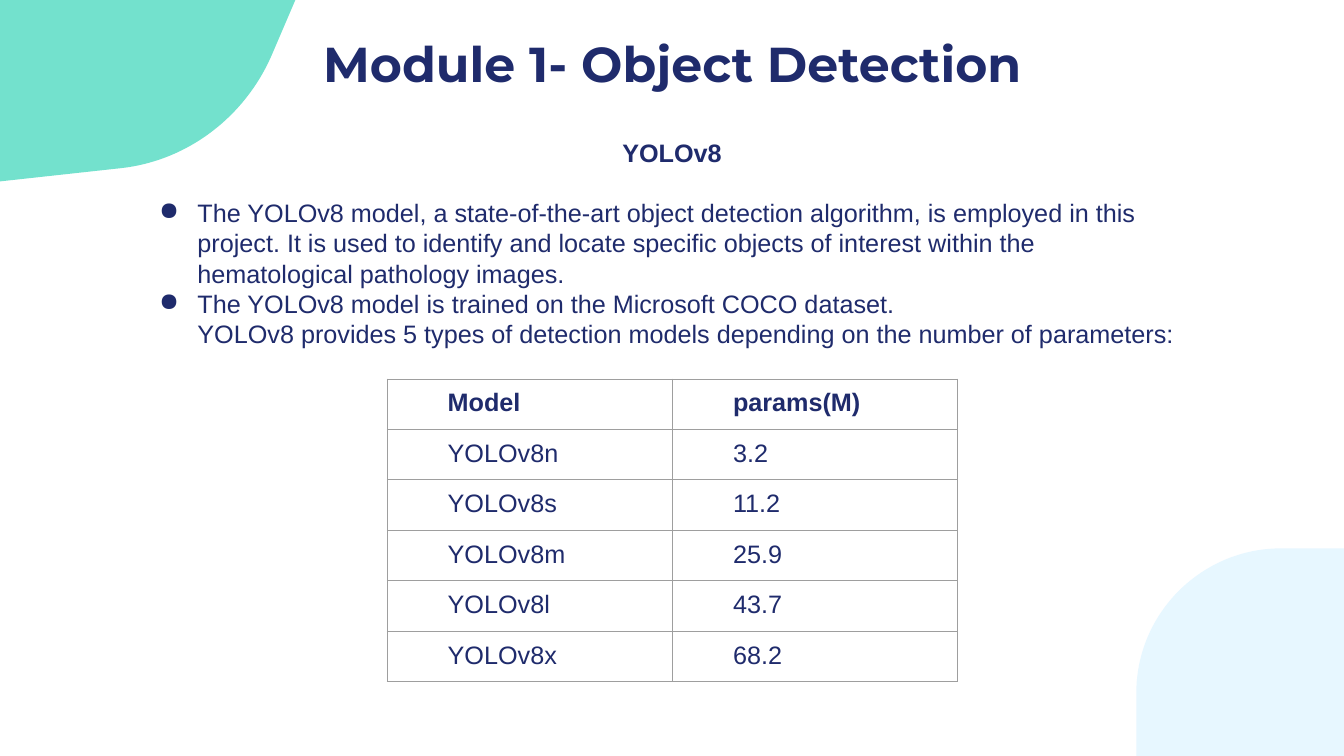
import pptx
import pptx.util
import pptx.dml.color
import pptx.enum.text
import pptx.oxml.ns
from lxml import etree

Inches = pptx.util.Inches
Pt = pptx.util.Pt
qn = pptx.oxml.ns.qn
ALIGN = pptx.enum.text.PP_ALIGN
COLORS = {"navy": "1F2B6C", "mint": "73E1CD", "ice": "E7F7FF", "grid": "9E9E9E"}
BULLETS = [
    "The YOLOv8 model, a state-of-the-art object detection algorithm, is employed "
    "in this project. It is used to identify and locate specific objects of "
    "interest within the hematological pathology images.",
    "The YOLOv8 model is trained on the Microsoft COCO dataset.",
]
CLOSING = ("YOLOv8 provides 5 types of detection models depending on "
           "the number of parameters:")
MODELS = [("Model", "params(M)"), ("YOLOv8n", "3.2"), ("YOLOv8s", "11.2"),
          ("YOLOv8m", "25.9"), ("YOLOv8l", "43.7"), ("YOLOv8x", "68.2")]


def rgb(name):
    """Return the named colour."""
    return pptx.dml.color.RGBColor.from_string(COLORS[name])


def bezier(p0, p1, p2, p3, steps=40):
    """Return points along a cubic curve, without its start."""
    points = []
    for i in range(1, steps + 1):
        t = i / steps
        u = 1 - t
        points.append(tuple(u**3 * a + 3 * u * u * t * b + 3 * u * t * t * c + t**3 * d
                            for a, b, c, d in zip(p0, p1, p2, p3)))
    return points


class Deck:
    """Hold the style and the current slide."""

    def __init__(self, prs):
        """Add a title-only slide."""
        self.s = prs.slides.add_slide(prs.slide_layouts[5])
        self.font, self.title_font, self.size = "Arial", "Montserrat", 18

    def run(self, p, text, bold=False, font=None, size=None):
        """Add a navy run to a paragraph."""
        r = p.add_run()
        r.text = text
        r.font.name = font or self.font
        r.font.size = Pt(size or self.size)
        r.font.bold = bold
        r.font.color.rgb = rgb("navy")

    def indent(self, p, left, first=0, bullet=None):
        """Set the indents and the bullet of a paragraph."""
        pPr = p._p.get_or_add_pPr()
        pPr.set("marL", str(Inches(left)))
        pPr.set("indent", str(Inches(first)))
        if bullet:
            color = etree.SubElement(pPr, qn("a:buClr"))
            etree.SubElement(color, qn("a:srgbClr"), val=COLORS["navy"])
            etree.SubElement(pPr, qn("a:buChar"), char=bullet)

    def corner(self, points, color):
        """Draw a filled corner outline."""
        builder = self.s.shapes.build_freeform(
            Inches(points[0][0]), Inches(points[0][1]), scale=1.0)
        builder.add_line_segments([(Inches(x), Inches(y)) for x, y in points[1:]])
        sp = builder.convert_to_shape()
        sp.shadow.inherit = False
        sp.fill.solid()
        sp.fill.fore_color.rgb = rgb(color)
        sp.line.fill.background()

    def title(self, text, x, y, w, h):
        """Place and fill the title."""
        sp = self.s.shapes.title
        sp.left, sp.top, sp.width, sp.height = map(Inches, (x, y, w, h))
        tf = sp.text_frame
        tf.vertical_anchor = pptx.enum.text.MSO_ANCHOR.MIDDLE
        tf.auto_size = pptx.enum.text.MSO_AUTO_SIZE.NONE
        p = tf.paragraphs[0]
        p.alignment = ALIGN.CENTER
        p.line_spacing = 0.9
        self.run(p, text, True, self.title_font, 35)

    def body(self, heading, bullets, closing, x, y, w, h):
        """Add a heading, its bullets and a closing line."""
        tf = self.s.shapes.add_textbox(*map(Inches, (x, y, w, h))).text_frame
        tf.word_wrap = True
        tf.margin_left = tf.margin_right = Inches(0.1)
        tf.margin_top = tf.margin_bottom = Inches(0.1)
        p = tf.paragraphs[0]
        p.alignment = ALIGN.CENTER
        self.run(p, heading, True)
        for i, text in enumerate(bullets):
            p = tf.add_paragraph()
            self.indent(p, 0.5, -0.38, "●")
            if i == 0:
                p.space_before = Pt(21.6)
            self.run(p, text)
        p = tf.add_paragraph()
        self.indent(p, 0.5)
        self.run(p, closing)

    def borders(self, cell):
        """Draw the four edges of a cell."""
        tcPr = cell._tc.get_or_add_tcPr()
        for side in "LRTB":
            ln = etree.SubElement(tcPr, qn("a:ln" + side), w=str(Pt(0.75)))
            fill = etree.SubElement(ln, qn("a:solidFill"))
            etree.SubElement(fill, qn("a:srgbClr"), val=COLORS["grid"])

    def table(self, rows, x, y, col_w, row_h):
        """Add a ruled table with a bold first row."""
        n, m = len(rows), len(rows[0])
        table = self.s.shapes.add_table(
            n, m, *map(Inches, (x, y, m * col_w, n * row_h))).table
        table.horz_banding = False
        for i, row in enumerate(rows):
            for j, text in enumerate(row):
                cell = table.cell(i, j)
                cell.margin_left = cell.margin_right = Inches(0.1)
                cell.margin_top = cell.margin_bottom = Inches(0.1)
                self.borders(cell)
                cell.fill.background()
                p = cell.text_frame.paragraphs[0]
                self.indent(p, 0.5)
                self.run(p, text, bold=i == 0)


def main():
    """Build the slide and save it."""
    prs = pptx.Presentation()
    prs.slide_width, prs.slide_height = Inches(13.33), Inches(7.5)
    deck = Deck(prs)
    deck.corner([(13.33, 7.5), (13.33, 5.44), (12.71, 5.44)]
                + bezier((12.71, 5.44), (11.92, 5.44), (11.27, 6.08), (11.27, 6.88))
                + [(11.27, 7.5)], "ice")
    deck.corner([(0, 1.8), (0, 0), (2.93, 0), (2.69, 0.56)]
                + bezier((2.69, 0.56), (2.42, 1.17), (1.85, 1.6), (1.19, 1.67)), "mint")
    deck.title("Module 1- Object Detection", 0.92, 0.4, 11.5, 0.53)
    deck.body("YOLOv8", BULLETS, CLOSING, 1.36, 1.26, 10.61, 2.32)
    deck.table(MODELS, 3.84, 3.76, 2.83, 0.5)
    prs.save("out.pptx")


if __name__ == "__main__":
    main()
